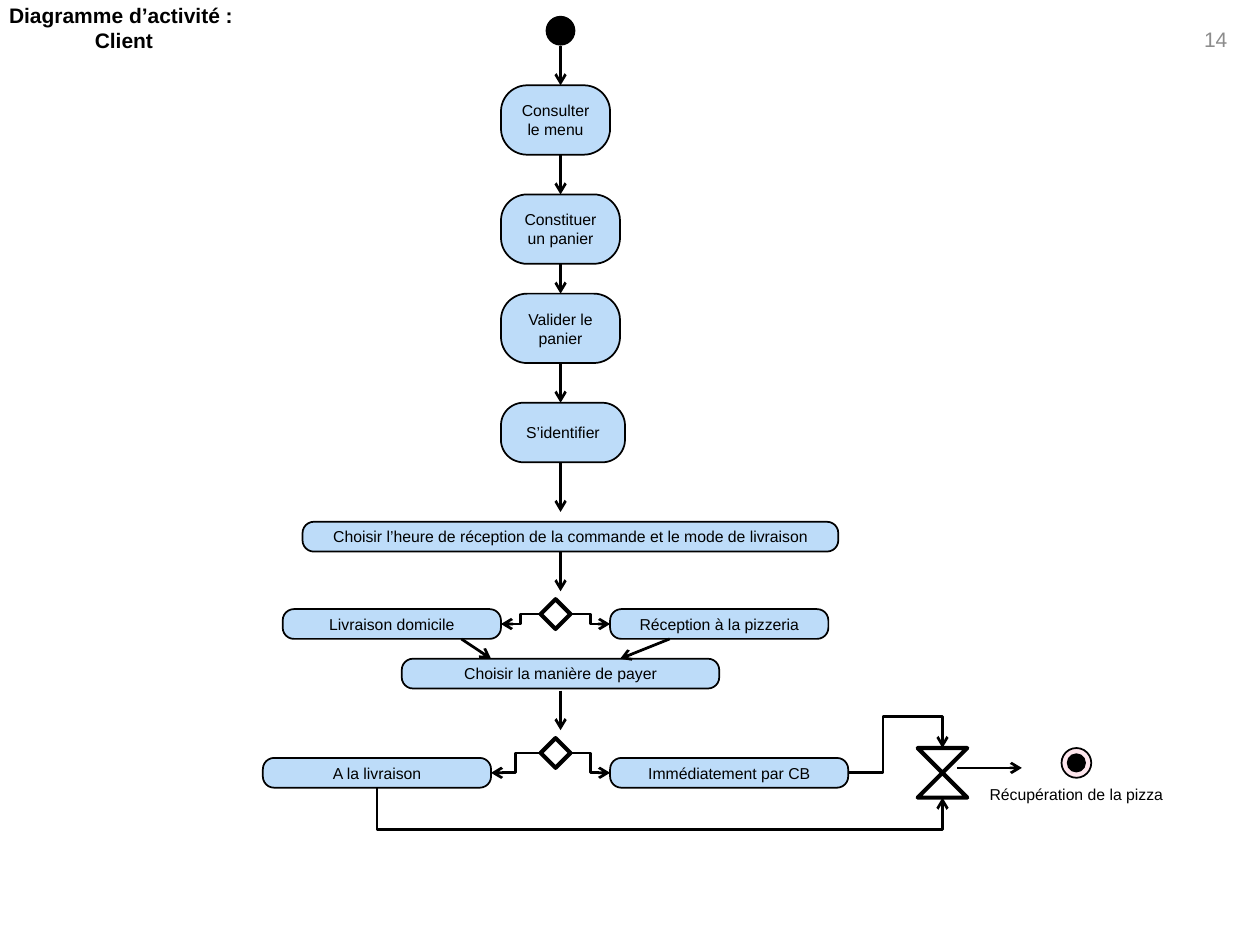
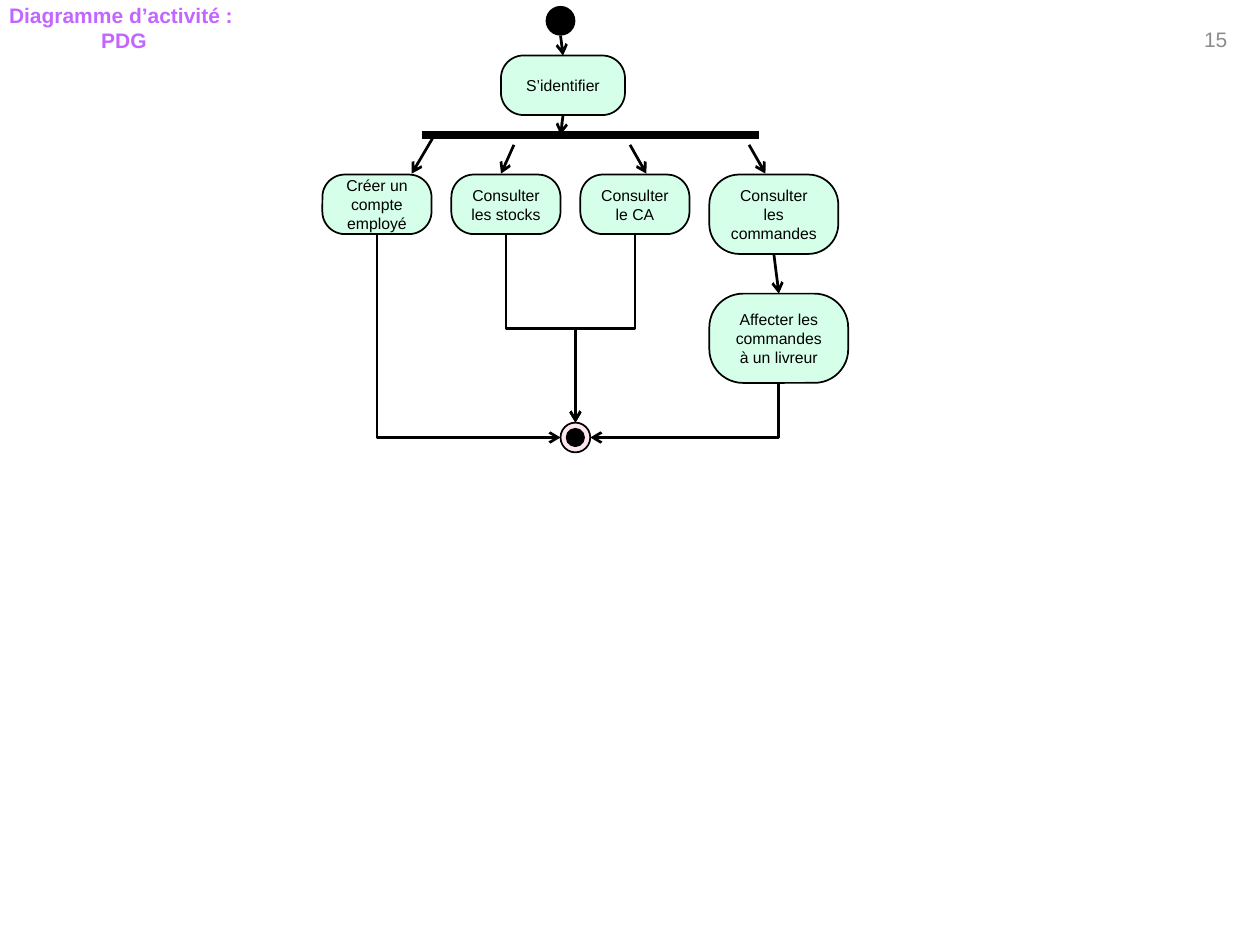
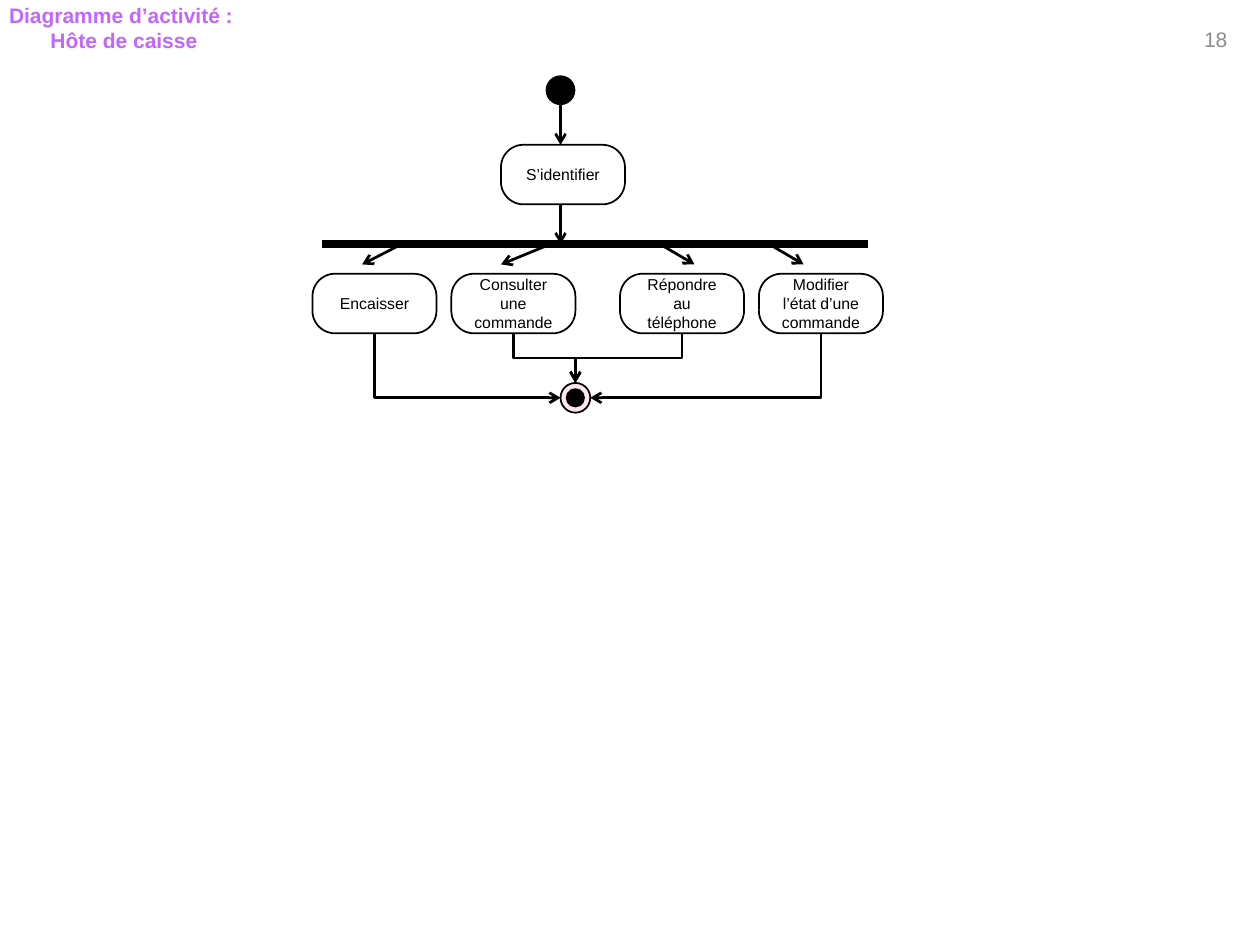
from dataclasses import dataclass
from typing import Optional, Sequence

from lxml.etree import SubElement
from pptx import Presentation
from pptx.dml.color import RGBColor
from pptx.enum.shapes import MSO_CONNECTOR as Link, MSO_SHAPE as Preset
from pptx.enum.text import MSO_ANCHOR as Anchor, PP_ALIGN as Align
from pptx.oxml.ns import qn
from pptx.util import Cm, Pt

Point = tuple[float, float]


@dataclass(frozen=True)
class Theme:
    font: str = "Arial"
    black: str = "000000"
    white: str = "FFFFFF"
    grey: str = "8C8C8C"
    purple: str = "C266FF"
    blue: str = "BDDCF9"
    green: str = "D5FFE8"
    pink: str = "FEE6ED"
    heading_size: float = 12
    body_size: float = 9
    outline: float = 1
    arrow: float = 1.57
    symbol: float = 2.36
    bar: float = 4.5
    corner: float = 0.378
    ring: float = 0.208
    dot: float = 0.6
    axis: float = 11.3


THEME = Theme()


@dataclass(frozen=True)
class Box:
    left: float
    top: float
    width: float
    height: float

    @property
    def right(self) -> float:
        return self.left + self.width

    @property
    def bottom(self) -> float:
        return self.top + self.height

    @property
    def center(self) -> float:
        return self.left + self.width / 2

    @property
    def middle(self) -> float:
        return self.top + self.height / 2

    @property
    def lengths(self) -> tuple:
        return Cm(self.left), Cm(self.top), Cm(self.width), Cm(self.height)

    @property
    def foot(self) -> Point:
        return self.center, self.bottom

    @property
    def head(self) -> Point:
        return self.center, self.top

    @property
    def west(self) -> Point:
        return self.left, self.middle

    @property
    def east(self) -> Point:
        return self.right, self.middle


@dataclass(frozen=True)
class Activity:
    text: str
    box: Box


def write(shape, lines: Sequence[str], size: float, color: str,
          bold: bool = False, align=Align.CENTER) -> None:
    text_frame = shape.text_frame
    text_frame.word_wrap = True
    text_frame.text = "\n".join(lines)
    for paragraph in text_frame.paragraphs:
        paragraph.alignment = align
        for run in paragraph.runs:
            run.font.name = THEME.font
            run.font.size = Pt(size)
            run.font.bold = bold
            run.font.color.rgb = RGBColor.from_string(color)


def draw_shape(shapes, preset, box: Box, fill: Optional[str] = None,
               line: float = 0, adjustment: Optional[float] = None):
    shape = shapes.add_shape(preset, *box.lengths)
    shape.shadow.inherit = False
    if adjustment is not None:
        shape.adjustments[0] = adjustment
    if fill:
        shape.fill.solid()
        shape.fill.fore_color.rgb = RGBColor.from_string(fill)
    else:
        shape.fill.background()
    if line:
        shape.line.color.rgb = RGBColor.from_string(THEME.black)
        shape.line.width = Pt(line)
    else:
        shape.line.fill.background()
    return shape


def draw_activities(slide, activities: Sequence[Activity], fill: str) -> None:
    for activity in activities:
        shape = draw_shape(slide.shapes, Preset.ROUNDED_RECTANGLE, activity.box,
                           fill, THEME.outline, THEME.corner)
        write(shape, [activity.text], THEME.body_size, THEME.black)
        text_frame = shape.text_frame
        text_frame.vertical_anchor = Anchor.MIDDLE
        text_frame.margin_left = text_frame.margin_right = Cm(0.24)
        text_frame.margin_top = text_frame.margin_bottom = 0


def style_connector(connector, width: float, arrow: bool = True) -> None:
    connector.line.color.rgb = RGBColor.from_string(THEME.black)
    connector.line.width = Pt(width)
    properties = connector._element.spPr
    if arrow:
        SubElement(properties.find(qn("a:ln")), qn("a:tailEnd"), type="arrow")
    SubElement(properties, qn("a:effectLst"))


def draw_line(slide, start: Point, end: Point, width: float = THEME.arrow,
              arrow: bool = True) -> None:
    connector = slide.shapes.add_connector(Link.STRAIGHT, *map(Cm, start + end))
    style_connector(connector, width, arrow)


def draw_elbow(slide, start: Point, end: Point, downward: bool = False,
               segments: int = 3, bends: Sequence[float] = ()) -> None:
    """Draw a bent arrow; a downward one is a turned connector box."""
    (x1, y1), (x2, y2) = start, end
    corners = start + end
    if downward:
        center, middle = (x1 + x2) / 2, (y1 + y2) / 2
        half_width, half_height = (y2 - y1) / 2, abs(x2 - x1) / 2
        corners = (center - half_width, middle - half_height,
                   center + half_width, middle + half_height)
    connector = slide.shapes.add_connector(Link.ELBOW, *map(Cm, corners))
    properties = connector._element.spPr
    if downward:
        properties.xfrm.rot = 270 if x2 > x1 else 90
        properties.xfrm.flipH = x2 > x1
    geometry = properties.prstGeom
    geometry.set("prst", f"bentConnector{segments}")
    geometry.rewrite_guides([(f"adj{number}", round(bend * 100000))
                             for number, bend in enumerate(bends, 1)])
    style_connector(connector, THEME.arrow)


def draw_start(slide, top: float) -> Box:
    box = Box(THEME.axis - THEME.dot / 2, top, THEME.dot, THEME.dot)
    draw_shape(slide.shapes, Preset.OVAL, box, THEME.black)
    return box


def draw_end(slide, left: float, top: float) -> Box:
    box = Box(left, top, THEME.dot, THEME.dot)
    group = slide.shapes.add_group_shape()
    draw_shape(group.shapes, Preset.OVAL, box, THEME.black)
    draw_shape(group.shapes, Preset.DONUT, box, THEME.pink, THEME.outline, THEME.ring)
    return box


def draw_axis_arrows(slide, spans: Sequence[Point]) -> None:
    for top, bottom in spans:
        draw_line(slide, (THEME.axis, top), (THEME.axis, bottom))


def draw_decision(slide, top: float, left_target: Box, right_target: Box) -> None:
    diamond = Box(10.9, top, THEME.dot, THEME.dot)
    draw_shape(slide.shapes, Preset.DIAMOND, diamond, THEME.white, THEME.symbol)
    draw_elbow(slide, diamond.west, left_target.east)
    draw_elbow(slide, diamond.east, right_target.west)


def draw_merge(slide, end: Box, sources: Sequence[Box]) -> None:
    first, second, third, last = sources
    draw_elbow(slide, first.foot, end.west, downward=True, segments=2)
    draw_elbow(slide, last.foot, end.east, downward=True, segments=2)
    for source in (second, third):
        draw_elbow(slide, source.foot, end.head, downward=True)


def new_slide(presentation, actor: str, number: int, color: str):
    slide = presentation.slides.add_slide(presentation.slide_layouts[6])
    title = slide.shapes.add_textbox(*Box(-3.1, -0.08, 11.2, 1.27).lengths)
    write(title, ["Diagramme d’activité : ", actor], THEME.heading_size, color, True)
    page = draw_shape(slide.shapes, Preset.ROUNDED_RECTANGLE, Box(23.62, 0, 1.78, 1.58))
    write(page, [str(number)], THEME.heading_size, THEME.grey)
    page.text_frame.vertical_anchor = Anchor.MIDDLE
    return slide


def build_client(presentation) -> None:
    slide = new_slide(presentation, "Client", 14, THEME.black)
    menu = Box(10.1, 1.72, 2.2, 1.4)
    basket = Box(10.1, 3.92, 2.4, 1.4)
    validation = Box(10.1, 5.92, 2.4, 1.4)
    login = Box(10.1, 8.12, 2.5, 1.2)
    schedule = Box(6.1, 10.52, 10.8, 0.6)
    home = Box(5.7, 12.28, 4.4, 0.6)
    pickup = Box(12.3, 12.28, 4.4, 0.6)
    payment = Box(8.1, 13.28, 6.4, 0.6)
    on_delivery = Box(5.3, 15.28, 4.6, 0.6)
    by_card = Box(12.3, 15.28, 4.8, 0.6)
    draw_activities(slide, [
        Activity("Consulter le menu", menu),
        Activity("Constituer un panier", basket),
        Activity("Valider le panier", validation),
        Activity("S’identifier", login),
        Activity("Choisir l’heure de réception de la commande et le mode de livraison",
                 schedule),
        Activity("Livraison domicile", home),
        Activity("Réception à la pizzeria", pickup),
        Activity("Choisir la manière de payer", payment),
        Activity("A la livraison", on_delivery),
        Activity("Immédiatement par CB", by_card),
    ], THEME.blue)
    start = draw_start(slide, 0.32)
    draw_axis_arrows(slide, [
        (start.bottom, menu.top), (menu.bottom, basket.top),
        (basket.bottom, validation.top), (validation.bottom, login.top),
        (login.bottom, 10.32), (schedule.bottom, 11.92), (13.92, 14.72),
    ])
    draw_decision(slide, 12.08, home, pickup)
    draw_decision(slide, 14.88, on_delivery, by_card)
    draw_line(slide, (9.3, home.bottom), (9.9, payment.top))
    draw_line(slide, (13.5, pickup.bottom), (12.5, payment.top))

    collate = Box(18.5, 15.08, 1, 1)
    draw_shape(slide.shapes, Preset.FLOWCHART_COLLATE, collate, line=THEME.symbol)
    draw_elbow(slide, on_delivery.foot, collate.foot, downward=True, bends=[4.18])
    draw_elbow(slide, by_card.east, collate.head, segments=4, bends=[0.37, 2.26])
    draw_line(slide, (19.3, 15.48), (20.6, 15.48))
    draw_end(slide, 21.4, 15.08)
    label = slide.shapes.add_textbox(*Box(19.7, 15.7, 4.3, 0.64).lengths)
    write(label, ["Récupération de la pizza"], THEME.body_size, THEME.black,
          align=Align.LEFT)


def build_director(presentation) -> None:
    slide = new_slide(presentation, "PDG", 15, THEME.purple)
    bar = 2.72
    login = Box(10.1, 1.12, 2.5, 1.2)
    account, stocks, revenue = (Box(6.5 + 2.6 * column, 3.52, 2.2, 1.2)
                                for column in range(3))
    orders = Box(14.3, 3.52, 2.6, 1.6)
    assignment = Box(14.3, 5.92, 2.8, 1.8)
    draw_activities(slide, [
        Activity("S’identifier", login),
        Activity("Créer un compte employé", account),
        Activity("Consulter les stocks", stocks),
        Activity("Consulter le CA", revenue),
        Activity("Consulter les commandes", orders),
        Activity("Affecter les commandes à un livreur", assignment),
    ], THEME.green)
    start = draw_start(slide, 0.12)
    draw_line(slide, (8.5, bar), (15.3, bar), THEME.bar, arrow=False)
    for begin, finish in [
        (start.foot, login.head), (login.foot, (THEME.axis, bar)),
        ((8.76, bar), (8.3, 3.5)), ((10.36, 2.92), (10.1, 3.5)),
        ((12.7, 2.92), (13.03, 3.5)), ((15.1, 2.92), (15.43, 3.5)),
        (orders.foot, assignment.head),
    ]:
        draw_line(slide, begin, finish)
    draw_merge(slide, draw_end(slide, 11.3, 8.52),
               [account, stocks, revenue, assignment])


def build_cashier(presentation) -> None:
    slide = new_slide(presentation, "Hôte de caisse", 18, THEME.purple)
    bar = 4.92
    login = Box(10.1, 2.92, 2.5, 1.2)
    tasks = [Activity(text, Box(left, 5.52, 2.5, 1.2)) for text, left in [
        ("Encaisser", 6.3), ("Consulter une commande", 9.1),
        ("Répondre au téléphone", 12.5), ("Modifier l’état d’une commande", 15.3),
    ]]
    start = draw_start(slide, 1.52)
    draw_line(slide, (6.5, bar), (17.5, bar), THEME.bar, arrow=False)
    draw_axis_arrows(slide, [(start.bottom, login.top), (login.bottom, bar)])
    for begin, finish in [(8.1, 7.3), (11.1, 10.1), (13.3, 14), (15.5, 16.2)]:
        draw_line(slide, (begin, bar), (finish, 5.33))
    draw_activities(slide, [Activity("S’identifier", login), *tasks], THEME.white)
    draw_merge(slide, draw_end(slide, 11.3, 7.72), [task.box for task in tasks])


def main() -> None:
    presentation = Presentation()
    presentation.slide_width, presentation.slide_height = Cm(25.4), Cm(19.05)
    build_client(presentation)
    build_director(presentation)
    build_cashier(presentation)
    presentation.save("out.pptx")


if __name__ == "__main__":
    main()
